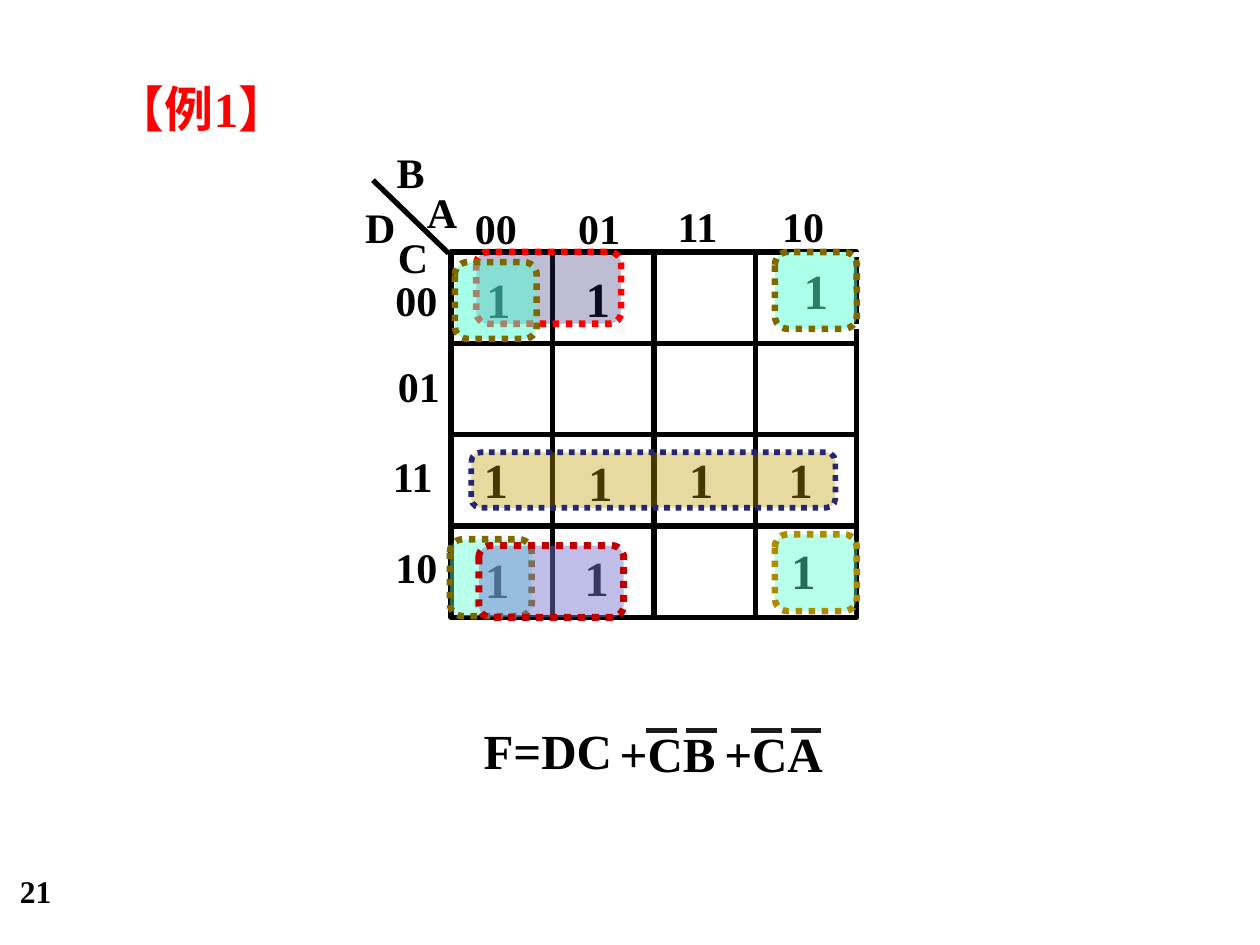
"""Build a Karnaugh map slide with its looped groups and the reduced formula."""
from lxml.etree import SubElement
from pptx import Presentation
from pptx.dml.color import RGBColor
from pptx.enum.dml import MSO_LINE as Dash
from pptx.enum.shapes import MSO_CONNECTOR as Link, MSO_SHAPE as Form
from pptx.enum.text import MSO_ANCHOR as Anchor, MSO_AUTO_SIZE as Fit, PP_ALIGN as Align
from pptx.oxml.ns import qn
from pptx.util import Inches, Pt

BLACK = RGBColor(0x00, 0x00, 0x00)
WHITE = RGBColor(0xFF, 0xFF, 0xFF)
RED = RGBColor(0xFF, 0x00, 0x00)
CRIMSON = RGBColor(0xC0, 0x00, 0x00)
NAVY = RGBColor(0x26, 0x26, 0x73)
LILAC = RGBColor(0x75, 0x75, 0xD1)
GOLD = RGBColor(0xC0, 0x9C, 0x00)
OCHRE = RGBColor(0xAD, 0x8C, 0x01)
OLIVE = RGBColor(0x80, 0x68, 0x00)
MINT = RGBColor(0x56, 0xFF, 0xD2)
INK = RGBColor(0x1C, 0x1C, 0x1C)
FONT = "Times New Roman"

deck = Presentation()
deck.slide_width, deck.slide_height = Inches(10), Inches(7.5)
slide = deck.slides.add_slide(deck.slide_layouts[5])
shapes = slide.shapes
UNIT = deck.slide_width / 100
LEFT, TOP, WIDE, HIGH, SIZE = 35.8, 20, 8.05, 7.25, 4


def write(box, words, spot, size, color=BLACK):
    box.left, box.top, box.width, box.height = [round(n * UNIT) for n in spot]
    frame = box.text_frame
    frame.text = words
    frame.word_wrap = True
    frame.auto_size = Fit.NONE
    frame.vertical_anchor = Anchor.TOP
    para = frame.paragraphs[0]
    para.alignment = Align.LEFT
    font = para.font
    font.name, font.size, font.bold = FONT, Pt(size), True
    font.color.rgb = color


def draw(x1, y1, x2, y2, color=BLACK):
    ends = [round(n * UNIT) for n in (x1, y1, x2, y2)]
    line = shapes.add_connector(Link.STRAIGHT, *ends)
    line.line.color.rgb = color
    line.line.width = Pt(3)
    SubElement(line.element.spPr, qn("a:effectLst"))


write(shapes.title, "【例1】", (8.2, 5.7, 16.3, 5.7), 28, RED)
write(shapes.add_textbox(0, 0, 0, 0), "21", (0.6, 68.7, 9.9, 3.7), 18)

for row in range(SIZE):
    for col in range(SIZE):
        spot = LEFT + col * WIDE, TOP + row * HIGH, WIDE, HIGH
        cell = shapes.add_shape(Form.RECTANGLE, *[round(n * UNIT) for n in spot])
        cell.shadow.inherit = False
        cell.fill.background()
        cell.line.color.rgb = BLACK
        cell.line.width = Pt(3)

right, base = LEFT + SIZE * WIDE, TOP + SIZE * HIGH
for step in range(SIZE + 1):
    x, y = LEFT + step * WIDE, TOP + step * HIGH
    draw(LEFT, y, right, y)
    draw(x, TOP, x, base)
draw(35.6, 20.1, 29.6, 14.3)

for name, x, y in (("B", 30.5, 11.1), ("A", 32.9, 14.3),
                   ("D", 28, 15.5), ("C", 30.6, 17.9)):
    write(shapes.add_textbox(0, 0, 0, 0), name, (x, y, 4.7, 5), 24)

for code, x, y in (("00", 36.7, 15.6), ("01", 44.9, 15.6),
                   ("11", 52.8, 15.4), ("10", 61.1, 15.4),
                   ("00", 30.4, 21.3), ("01", 30.6, 28.1),
                   ("11", 30.2, 35.3), ("10", 30.4, 42.5)):
    write(shapes.add_textbox(0, 0, 0, 0), code, (x, y, 6.3, 5), 24)

edge = shapes.add_textbox(0, 0, 0, 0)
write(edge, "1", (62.8, 20.2, 7, 5.7), 28)
edge.line.color.rgb = WHITE
edge.line.width = Pt(3)

for x, y in ((37.6, 20.9), (45.5, 20.8),
             (37.4, 35.2), (45.7, 35.4), (53.7, 35.2), (61.6, 35.2),
             (37.5, 43.1), (45.4, 43), (61.8, 42.4)):
    write(shapes.add_textbox(0, 0, 0, 0), "1", (x, y, 7, 5.7), 28)

for x, y, w, h, fill, alpha, rim, width in (
        (37.4, 35.9, 28.9, 4.4, GOLD, 37, NAVY, 3.25),
        (37.8, 20, 11.5, 5.7, NAVY, 30, RED, 3.75),
        (61.5, 20, 6.5, 6.1, MINT, 49, OLIVE, 3.75),
        (61.5, 42.4, 6.5, 6.1, MINT, 42, OCHRE, 3.75),
        (36.1, 20.8, 6.5, 6.1, MINT, 51, OLIVE, 3.75),
        (35.7, 42.8, 6.5, 6.1, MINT, 42, OLIVE, 3.75),
        (38, 43.3, 11.5, 5.7, LILAC, 47, CRIMSON, 4)):
    spot = [round(n * UNIT) for n in (x, y, w, h)]
    loop = shapes.add_shape(Form.ROUNDED_RECTANGLE, *spot)
    loop.shadow.inherit = False
    loop.fill.solid()
    loop.fill.fore_color.rgb = fill
    tint = loop.element.spPr.find(".//" + qn("a:srgbClr"))
    SubElement(tint, qn("a:alpha"), val=str(alpha * 1000))
    loop.line.color.rgb = rim
    loop.line.width = Pt(width)
    loop.line.dash_style = Dash.ROUND_DOT

write(shapes.add_textbox(0, 0, 0, 0), "F=DC", (37.4, 56.7, 13.3, 5.7), 28)
for term, x in (("+CB", 48.2), ("+CA", 56.5)):
    write(shapes.add_textbox(0, 0, 0, 0), term, (x, 56.9, 10.6, 5.7), 28)
    for shift in (3.1, 6.25):
        draw(x + shift, 58, x + shift + 2.45, 58, INK)

deck.save("out.pptx")
